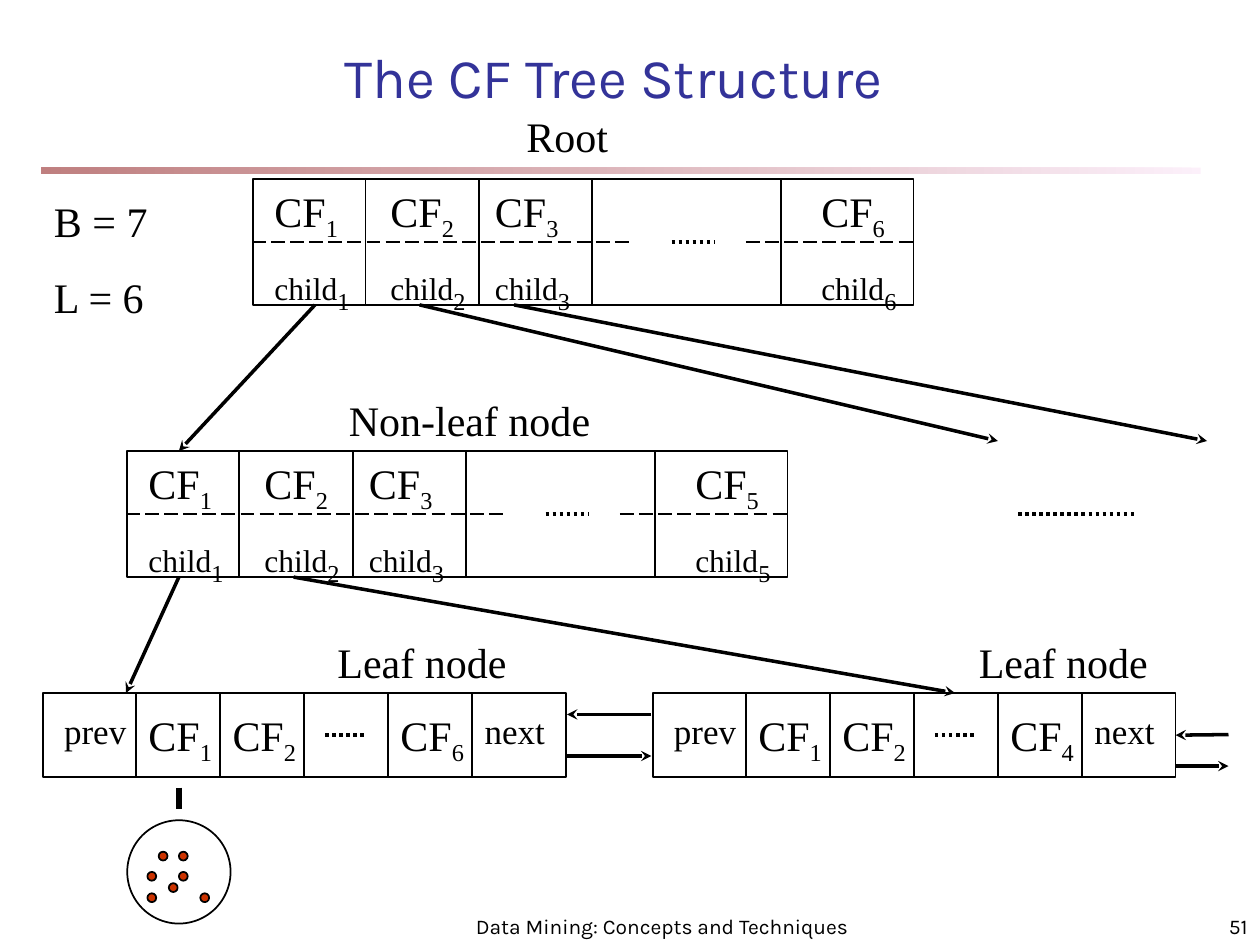
from typing import NamedTuple

from lxml import etree
from pptx import Presentation
from pptx.dml.color import RGBColor
from pptx.enum.dml import MSO_LINE
from pptx.enum.shapes import MSO_CONNECTOR, MSO_SHAPE
from pptx.enum.text import MSO_ANCHOR, MSO_AUTO_SIZE, PP_ALIGN
from pptx.oxml.ns import qn
from pptx.util import Cm, Length, Pt

RECT, OVAL = MSO_SHAPE.RECTANGLE, MSO_SHAPE.OVAL
STRAIGHT = MSO_CONNECTOR.STRAIGHT
LONG_DASH, DOTS = MSO_LINE.LONG_DASH, MSO_LINE.ROUND_DOT
LEFT, CENTER, RIGHT = PP_ALIGN.LEFT, PP_ALIGN.CENTER, PP_ALIGN.RIGHT
TOP, BOTTOM = MSO_ANCHOR.TOP, MSO_ANCHOR.BOTTOM
FIT = MSO_AUTO_SIZE.SHAPE_TO_FIT_TEXT
SERIF, SANS = "Times New Roman", "Karla"
BLACK, TITLE_BLUE, POINT_RED = "000000", "333399", "CC3300"


class InnerNode(NamedTuple):
    x: float
    y: float
    last: str


class LeafNode(NamedTuple):
    x: float
    last: str


class Line(NamedTuple):
    x1: float
    y1: float
    x2: float
    y2: float


class Label(NamedTuple):
    text: str
    x: float
    y: float
    w: float
    h: float


ROOT = InnerNode(2, 1.42, "6")
NON_LEAF = InnerNode(1, 3.58, "5")
LEAVES = [LeafNode(0.33, "6"), LeafNode(5.17, "4")]
LEAF_Y, LEAF_H, LEAF_STEP = 5.5, 0.67, 2 / 3
ARROWS = [
    Line(2.5, 2.42, 1.42, 3.58), Line(3.33, 2.42, 7.92, 3.5),
    Line(4.08, 2.42, 9.58, 3.5), Line(1.42, 4.58, 1, 5.5),
    Line(2.33, 4.58, 7.58, 5.5), Line(5.17, 5.67, 4.5, 5.67),
    Line(4.5, 6, 5.17, 6), Line(9.33, 6.08, 9.75, 6.08),
]
LABELS = [
    Label("B = 7\nL = 6", 0.33, 1.5, 1.17, 1.11),
    Label("Root", 4.08, 0.83, 1.08, 0.5),
    Label("Non-leaf node", 2.67, 3.08, 2.17, 0.5),
    Label("Leaf node", 2.58, 5, 1.58, 0.5),
    Label("Leaf node", 7.67, 5, 1.58, 0.5),
]
POINTS = [(1.26, 6.76), (1.42, 6.92), (1.42, 6.76), (1.17, 7.09),
          (1.17, 6.92), (1.34, 7.01), (1.59, 7.09)]


def inch(value: float) -> Length:
    return Cm(value * 2.54)


def rgb(value: str) -> RGBColor:
    return RGBColor.from_string(value)


def add_outline(shapes, kind, x: float, y: float, w: float, h: float, fill: str = ""):
    sp = shapes.add_shape(kind, inch(x), inch(y), inch(w), inch(h))
    sp.shadow.inherit = False
    if fill:
        sp.fill.solid()
        sp.fill.fore_color.rgb = rgb(fill)
    else:
        sp.fill.background()
    sp.line.color.rgb = rgb(BLACK)
    sp.line.width = Pt(1)
    return sp


def add_line(shapes, line: Line, width: float = 1, dash=None, arrow: bool = False):
    cn = shapes.add_connector(STRAIGHT, *map(inch, line))
    cn.line.color.rgb = rgb(BLACK)
    cn.line.width = Pt(width)
    if dash:
        cn.line.dash_style = dash
    if arrow:
        etree.SubElement(cn.line._get_or_add_ln(), qn("a:tailEnd"), type="stealth")
    etree.SubElement(cn._element.spPr, qn("a:effectLst"))
    return cn


def add_text(shapes, label: Label, size: float = 24, sub: str = "",
             font: str = SERIF, align=LEFT, anchor=TOP) -> None:
    """Add a text box, with an optional 24 pt subscript after its text."""
    box = shapes.add_textbox(*map(inch, label[1:]))
    tf = box.text_frame
    tf.word_wrap = True
    tf.vertical_anchor = anchor
    if anchor == TOP:
        tf.auto_size = FIT
    tf.text = label.text
    for i, p in enumerate(tf.paragraphs):
        p.alignment = align
        if i:
            p.space_before = Pt(15)
        if sub:
            p.add_run().text = sub
        for r in p.runs:
            r.font.name = font
            r.font.size = Pt(size)
            r.font.color.rgb = rgb(BLACK)
    if sub:
        r.font.size = Pt(24)
        r._r.get_or_add_rPr().set("baseline", "-25000")


def draw_inner_node(shapes, node: InnerNode) -> None:
    x, y, last = node
    middle = y + 0.5
    add_outline(shapes, RECT, x + 0.01, y, 5.24, 1)
    for dx in (0.9, 1.8, 2.7, 4.2):
        add_line(shapes, Line(x + dx, y, x + dx, y + 1))
    for start, end in ((0, 3), (3.92, 5.25)):
        add_line(shapes, Line(x + start, middle, x + end, middle), dash=LONG_DASH)
    add_line(shapes, Line(x + 3.33, middle, x + 3.67, middle), 2, DOTS)
    for dx, number in zip((0.08, 1, 1.83, 4.42), ("1", "2", "3", last)):
        add_text(shapes, Label("CF", x + dx, y, 0.75, 0.56), sub=number)
        add_text(shapes, Label("child", x + dx, y + 0.58, 1, 0.56), 18, number)


def draw_leaf_node(shapes, node: LeafNode):
    x, last = node
    text_y, middle = LEAF_Y + 0.08, LEAF_Y + LEAF_H / 2
    sp = add_outline(shapes, RECT, x + 0.01, LEAF_Y, 4.15, LEAF_H)
    edges = [x + 0.75 + i * LEAF_STEP for i in range(5)]
    for edge in edges:
        add_line(shapes, Line(edge, LEAF_Y, edge, LEAF_Y + LEAF_H))
    for i, number in ((0, "1"), (1, "2"), (3, last)):
        add_text(shapes, Label("CF", edges[i], text_y, 0.75, 0.56), sub=number)
    add_line(shapes, Line(x + 2.25, middle, x + 2.58, middle), 2, DOTS)
    add_text(shapes, Label("prev", x + 0.08, text_y, 0.75, 0.43), 20)
    add_text(shapes, Label("next", edges[4], text_y, 0.75, 0.43), 20)
    return sp


def draw_title(s) -> None:
    """Draw the fading rule and the slide title."""
    rule = s.shapes.add_shape(RECT, inch(0.33), inch(1.33), inch(9.2), inch(0.05))
    rule.shadow.inherit = False
    rule.line.fill.background()
    rule.fill.gradient()
    rule.fill.gradient_angle = 180
    for stop, color in zip(rule.fill.gradient_stops, ("FAE2F6", "800000")):
        stop.color.rgb = rgb(color)
    for color in rule._element.spPr.iter(qn("a:srgbClr")):
        etree.SubElement(color, qn("a:alpha"), val="50000")

    title = s.shapes.title
    title.left, title.top, title.width, title.height = map(inch, (0.74, 0.25, 8.26, 0.67))
    tf = title.text_frame
    tf.text = "The CF Tree Structure"
    tf.vertical_anchor = BOTTOM
    p = tf.paragraphs[0]
    p.alignment = CENTER
    p.font.name, p.font.size = SANS, Pt(32)
    p.font.color.rgb = rgb(TITLE_BLUE)


def main() -> None:
    prs = Presentation()
    prs.slide_width, prs.slide_height = inch(10), inch(7.5)
    s = prs.slides.add_slide(prs.slide_layouts[5])
    draw_title(s)

    draw_inner_node(s.shapes.add_group_shape().shapes, ROOT)
    draw_inner_node(s.shapes, NON_LEAF)
    leaves = [draw_leaf_node(s.shapes, leaf) for leaf in LEAVES]
    for arrow in ARROWS:
        add_line(s.shapes, arrow, 2, arrow=True)
    incoming = add_line(s.shapes, Line(9.75, 5.83, 9.33, 5.83), 2, arrow=True)
    incoming.end_connect(leaves[-1], 3)
    add_line(s.shapes, Line(8.08, 4.08, 9, 4.08), 2, DOTS)
    for label in LABELS:
        add_text(s.shapes, label)

    cluster = s.shapes.add_group_shape().shapes
    for x, y in POINTS:
        add_outline(cluster, OVAL, x, y, 0.07, 0.07, POINT_RED)
    add_outline(cluster, OVAL, 1.01, 6.51, 0.82, 0.82)
    add_line(s.shapes, Line(1.42, 6.25, 1.42, 6.42), 3)

    footer = Label("Data Mining: Concepts and Techniques", 3.67, 7.08, 3.17, 0.42)
    add_text(s.shapes, footer, 12, font=SANS, align=CENTER, anchor=BOTTOM)
    number = Label("51", 7.92, 7.08, 2.08, 0.42)
    add_text(s.shapes, number, 12, font=SANS, align=RIGHT, anchor=BOTTOM)
    prs.save("out.pptx")


if __name__ == "__main__":
    main()
